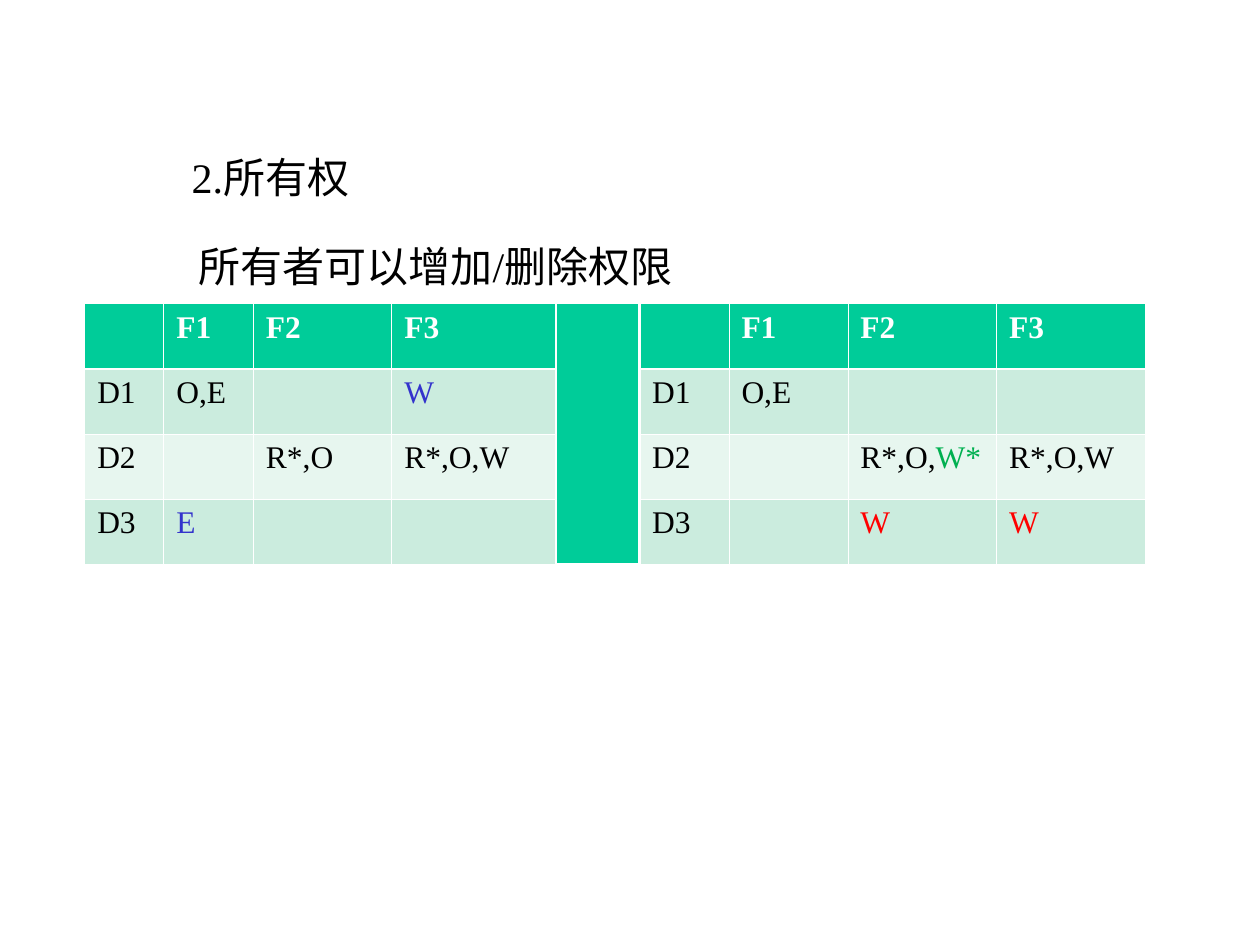
from lxml import etree
from pptx import Presentation, util as u
from pptx.dml.color import RGBColor
from pptx.enum import text
from pptx.oxml import ns

COLORS = {"black": "000000", "white": "FFFFFF", "header": "00CC99",
          "odd": "CBECDE", "even": "E7F6EF", "blue": "3333CC",
          "green": "00B050", "red": "FF0000"}
THIN, THICK = 0.45, 1.47
GAP = 4  # column between the two access matrices


class Deck:
    def __init__(self, prs):
        self.font = "Times New Roman"
        self.s = prs.slides.add_slide(prs.slide_layouts[6])

    def color(self, name):
        return RGBColor.from_string(COLORS[name])

    def run(self, p, content, size, color="black", bold=False):
        r = p.add_run()
        r.text = content
        style = {"name": self.font, "size": u.Pt(size), "bold": bold}
        for key, value in style.items():
            setattr(r.font, key, value)
        r.font.color.rgb = self.color(color)

    def label(self, x, y, w, h, content):
        tf = self.s.shapes.add_textbox(*map(u.Pt, (x, y, w, h))).text_frame
        tf.word_wrap = False
        tf.auto_size = text.MSO_AUTO_SIZE.SHAPE_TO_FIT_TEXT
        self.run(tf.paragraphs[0], content, 24)

    def borders(self, cell, widths):
        tcPr = cell._tc.get_or_add_tcPr()
        for i, (side, width) in enumerate(widths.items()):
            ln = etree.Element(ns.qn("a:ln" + side), w=str(u.Pt(width)))
            fill = etree.SubElement(ln, ns.qn("a:solidFill"))
            etree.SubElement(fill, ns.qn("a:srgbClr"), val=COLORS["white"])
            tcPr.insert(i, ln)

    def cell(self, cell, row, col, runs):
        fill = "header" if row == 0 or col == GAP else ("even", "odd")[row % 2]
        cell.fill.solid()
        cell.fill.fore_color.rgb = self.color(fill)
        beside_gap = row > 0
        self.borders(cell, {
            "L": THICK if col == GAP or (beside_gap and col == GAP + 1) else THIN,
            "R": THICK if col == GAP or (beside_gap and col == GAP - 1) else THIN,
            "T": THICK if row == 1 else THIN,
            "B": THICK if row == 0 or col == GAP else THIN})
        p = cell.text_frame.paragraphs[0]
        for content, color in runs:
            self.run(p, content, 18, "white" if row == 0 else color, row == 0)
        if not runs:  # empty cells set the row height through their text size
            etree.SubElement(p._p, ns.qn("a:endParaRPr"), sz="2500")

    def table(self, x, y, widths, row_h, rows):
        tbl = self.s.shapes.add_table(
            len(rows), len(widths), u.Pt(x), u.Pt(y),
            u.Pt(sum(widths)), u.Pt(row_h * len(rows))).table
        for column, w in zip(tbl.columns, widths):
            column.width = u.Pt(w)
        for i, row in enumerate(rows):
            tbl.rows[i].height = u.Pt(row_h)
            for j, value in enumerate(row):
                runs = [(value, "black")] if isinstance(value, str) and value else value
                self.cell(tbl.cell(i, j), i, j, runs or [])
        tbl.cell(0, GAP).merge(tbl.cell(len(rows) - 1, GAP))


def main():
    prs = Presentation()
    prs.slide_width, prs.slide_height = u.Pt(720), u.Pt(540)
    deck = Deck(prs)

    # Heading
    deck.label(102.4, 83, 110, 36, "2.所有权")

    # Access matrices before and after the owners change rights
    head = ["", "F1", "F2", "F3"]
    blue_w, blue_e, red_w = [("W", "blue")], [("E", "blue")], [("W", "red")]
    granted = [("R*,O,", "black"), ("W*", "green")]
    rows = [
        head + [""] + head,
        ["D1", "O,E", "", blue_w, "", "D1", "O,E", "", ""],
        ["D2", "", "R*,O", "R*,O,W", "", "D2", "", granted, "R*,O,W"],
        ["D3", blue_e, "", "", "", "D3", "", red_w, red_w],
    ]
    widths = [45.2, 51.2, 79.1, 93.8, 47.8, 51.1, 68, 85, 85]
    deck.table(48.4, 173.6, widths, 29.16, rows)

    # Rule for owners
    deck.label(106.4, 134, 296.6, 36, "所有者可以增加/删除权限")

    prs.save("out.pptx")


if __name__ == "__main__":
    main()
